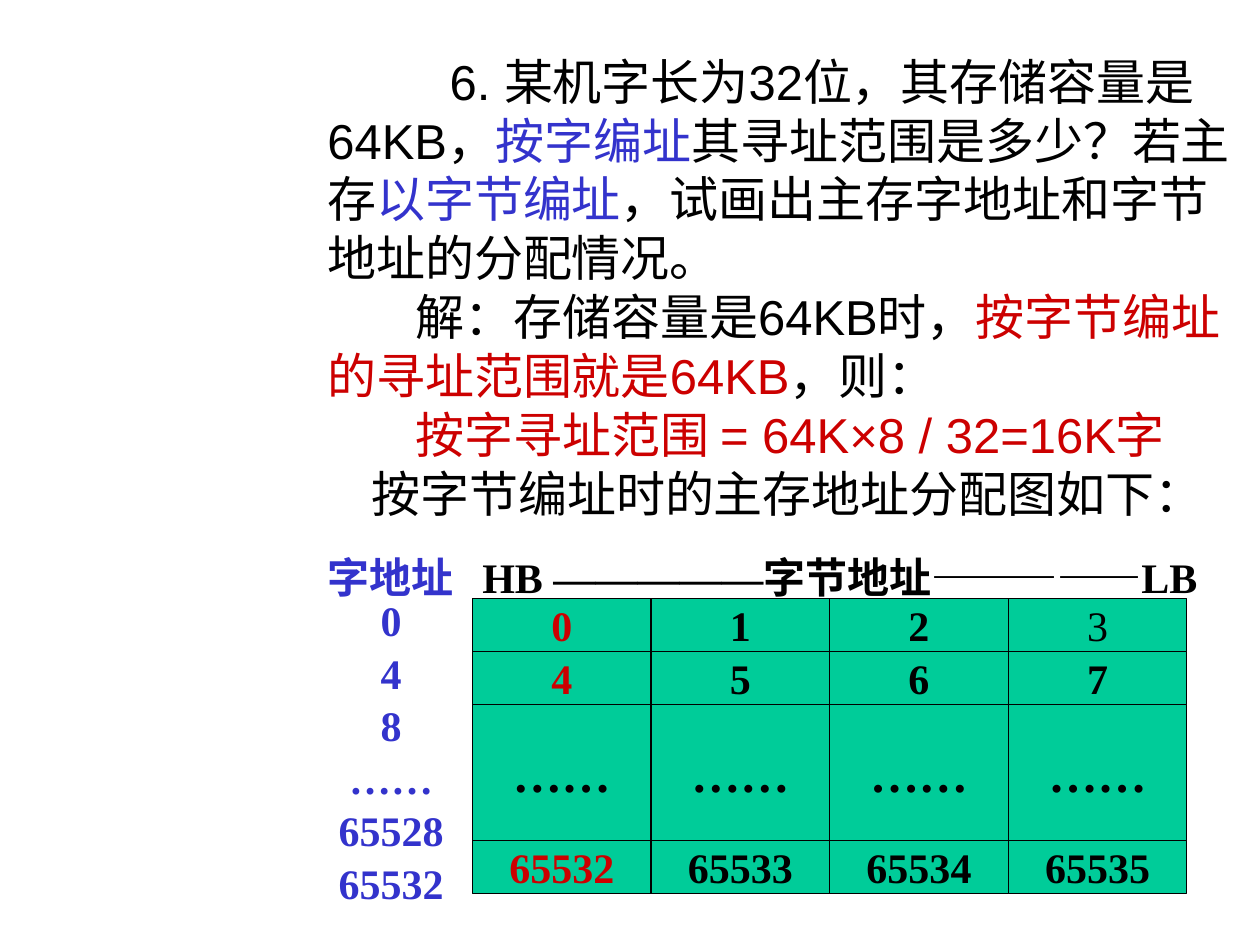
from itertools import accumulate

from pptx import Presentation
from pptx.dml.color import RGBColor
from pptx.enum.shapes import MSO_SHAPE as Shape
from pptx.enum.text import MSO_ANCHOR as Anchor, PP_ALIGN as Align
from pptx.oxml.xmlchemy import OxmlElement
from pptx.util import Inches, Pt

BLACK = RGBColor(0x00, 0x00, 0x00)
BLUE = RGBColor(0x33, 0x33, 0xCC)
RED = RGBColor(0xCC, 0x00, 0x00)
GREEN = RGBColor(0x00, 0xCC, 0x99)

QUESTION_FONT = {"name": "Arial", "size": Pt(28), "bold": False}
MAP_FONT = {"name": "Times New Roman", "size": Pt(24), "bold": True}

# Each paragraph: first-line indent in inches, then its coloured spans
QUESTION = [
    (0.97, [("6. 某机字长为32位，其存储容量是64KB，", BLACK),
            ("按字编址", BLUE),
            ("其寻址范围是多少？若主存", BLACK),
            ("以字节编址", BLUE),
            ("，试画出主存字地址和字节地址的分配情况。", BLACK)]),
    (0.70, [("解：存储容量是64KB时，", BLACK),
            ("按字节编址的寻址范围就是64KB", RED),
            ("，则：", BLACK)]),
    (0.70, [("按字寻址范围 = 64K×8 / 32=16K字", RED)]),
    (0.35, [("按字节编址时的主存地址分配图如下：", BLACK)]),
]
WORD_ADDRESSES = ["0", "4", "8", "……", "65528", "65532"]
BYTE_ROWS = [
    (0.42, ["0", "1", "2", "3"]),
    (0.42, ["4", "5", "6", "7"]),
    (1.08, ["……"] * 4),
    (0.42, ["65532", "65533", "65534", "65535"]),
]


def add_span(para, text, color, style):
    span = para.add_run()
    span.text = text
    for name, value in style.items():
        setattr(span.font, name, value)
    span.font.color.rgb = color


def add_text_box(page, left, top, width, height, wrap=True):
    box = page.shapes.add_textbox(Inches(left), Inches(top),
                                  Inches(width), Inches(height))
    box.text_frame.word_wrap = wrap
    return box.text_frame


def next_para(frame, index):
    return frame.add_paragraph() if index else frame.paragraphs[0]


def add_question(page, left, top, width, height):
    frame = add_text_box(page, left, top, width, height)
    frame.vertical_anchor = Anchor.MIDDLE
    for index, (indent, spans) in enumerate(QUESTION):
        para = next_para(frame, index)
        para._p.get_or_add_pPr().set("indent", str(Inches(indent)))
        for text, color in spans:
            add_span(para, text, color, QUESTION_FONT)


def add_byte_grid(page, left, top, width):
    cell_width = width / 4
    heights = [height for height, _ in BYTE_ROWS]
    for offset, (height, labels) in zip(accumulate([0] + heights), BYTE_ROWS):
        for column, label in enumerate(labels):
            cell = page.shapes.add_shape(
                Shape.RECTANGLE, Inches(left + column * cell_width),
                Inches(top + offset), Inches(cell_width), Inches(height))
            cell.shadow.inherit = False
            cell.fill.solid()
            cell.fill.fore_color.rgb = GREEN
            cell.line.color.rgb = BLACK
            cell.line.width = Pt(0.75)
            frame = cell.text_frame
            frame.word_wrap = False
            frame.vertical_anchor = Anchor.MIDDLE
            para = frame.paragraphs[0]
            para.alignment = Align.CENTER
            dots = label == "……"
            style = {**MAP_FONT, "size": Pt(28 if dots else 24),
                     "bold": label != "3"}
            color = RED if column == 0 and not dots else BLACK
            add_span(para, label, color, style)


def add_map_heading(page, left, top, width, height):
    para = add_text_box(page, left, top, width, height).paragraphs[0]
    tabs = OxmlElement("a:tabLst")
    stop = OxmlElement("a:tab")
    stop.set("pos", str(Inches(1.23)))
    stop.set("algn", "l")
    tabs.append(stop)
    para._p.get_or_add_pPr().append(tabs)
    add_span(para, "字地址\t", BLUE, MAP_FONT)
    add_span(para, "HB —————字节地址—————LB", BLACK, MAP_FONT)


def add_word_addresses(page, left, top, width, height):
    frame = add_text_box(page, left, top, width, height, wrap=False)
    for index, address in enumerate(WORD_ADDRESSES):
        para = next_para(frame, index)
        para.alignment = Align.CENTER
        if index:
            para.space_before = Pt(1.25)
        add_span(para, address, BLUE, MAP_FONT)


def main():
    deck = Presentation()
    deck.slide_width, deck.slide_height = Inches(10), Inches(7.5)
    page = deck.slides.add_slide(deck.slide_layouts[6])
    # Question and worked answer
    add_question(page, 2.5, -0.11, 7.5, 4.77)
    # Memory map: byte cells, heading, word addresses
    add_byte_grid(page, 3.75, 4.75, 5.67)
    add_map_heading(page, 2.5, 4.33, 7.5, 0.5)
    add_word_addresses(page, 2.59, 4.67, 1.03, 2.5)
    deck.save("out.pptx")


if __name__ == "__main__":
    main()
